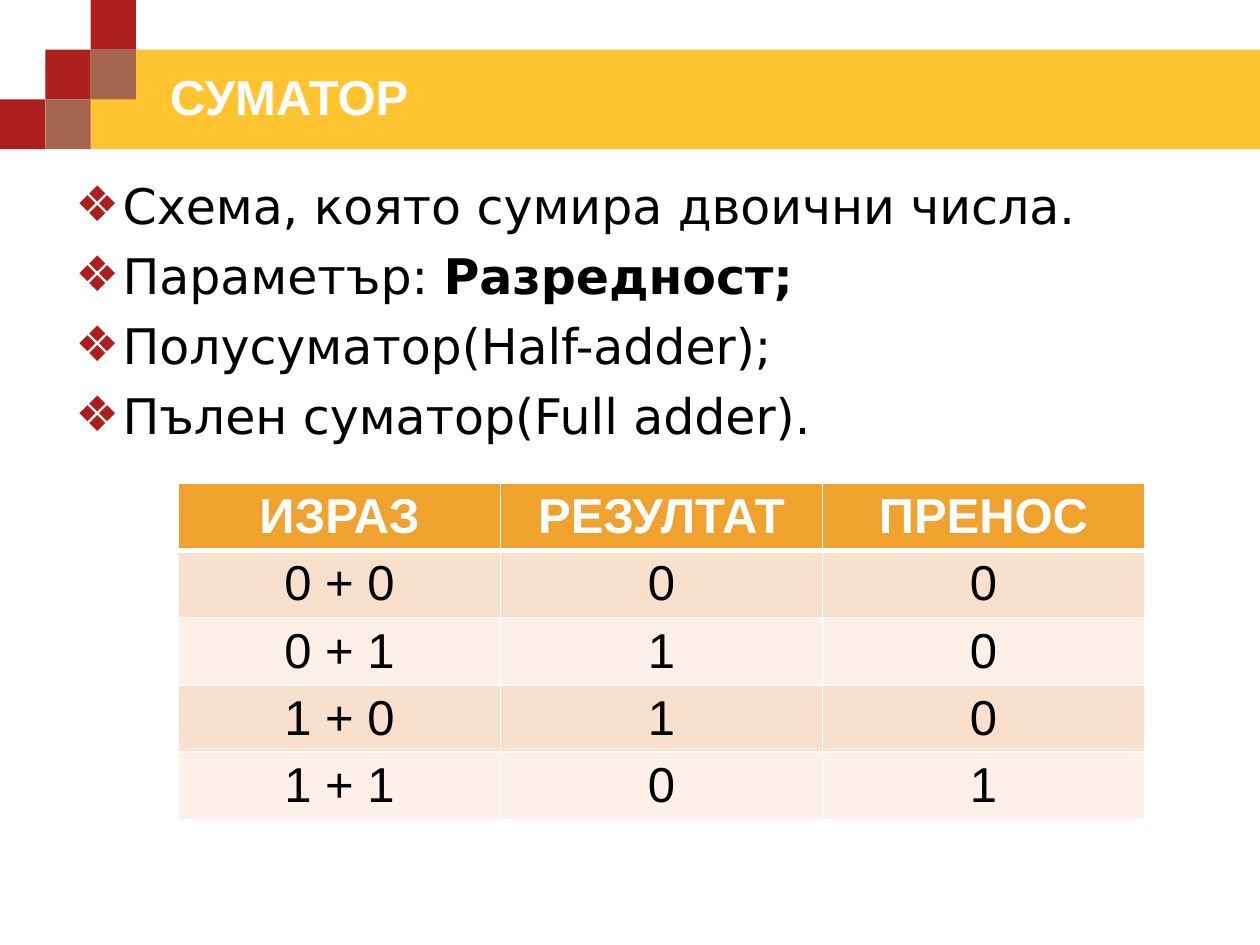
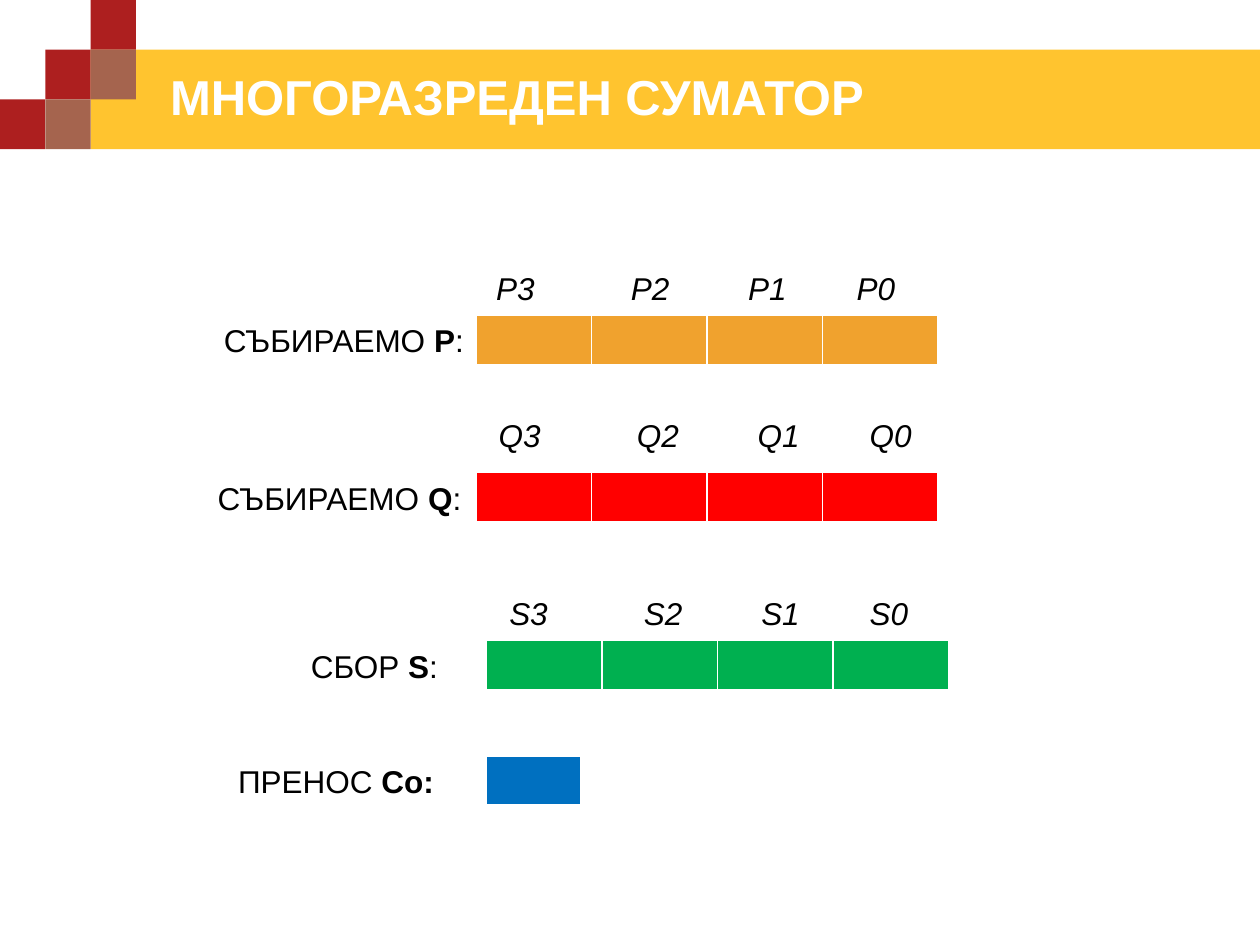
from itertools import accumulate

from lxml import etree
from pptx import Presentation
from pptx.dml.color import RGBColor
from pptx.enum import shapes, text
from pptx.oxml import ns
from pptx.util import Pt

WHITE, BLACK = "FFFFFF", "000000"
GOLD, CRIMSON, BROWN = "FFC42F", "AD1F1F", "A5644E"
ORANGE, PEACH, CREAM = "F0A22E", "F9E0CD", "FCF0E8"
RED, GREEN, BLUE = "FF0000", "00B050", "0070C0"
CENTER, LEFT = text.PP_ALIGN.CENTER, text.PP_ALIGN.LEFT


def color(hex_code):
    return RGBColor.from_string(hex_code)


def child(parent, tag, **attributes):
    return etree.SubElement(parent, ns.qn(tag), attributes)


def write(paragraph, content, size=18, font="Arial", ink=BLACK, bold=False,
          italic=False, align=LEFT):
    """Fill a paragraph; parts between ** marks switch to bold."""
    paragraph.alignment = align
    for index, part in enumerate(content.split("**")):
        if not part:
            continue
        run = paragraph.add_run()
        run.text = part
        run.font.size, run.font.name = Pt(size), font
        run.font.bold = bold or index % 2 == 1
        run.font.italic = italic
        run.font.color.rgb = color(ink)


def text_frame(slide, box, wrap=True):
    frame = slide.shapes.add_textbox(*map(Pt, box)).text_frame
    frame.word_wrap = wrap
    return frame


# Shared header
def decorate(layout, slide):
    """Build the band and the stepped squares, then move them to the layout."""
    step_x, step_y = 25.9, 28.4
    blocks = [(2, 1, 720 - 2 * step_x, 2 * step_y, GOLD)]
    blocks += [(col, 2 - col, step_x, step_y, CRIMSON) for col in range(3)]
    blocks += [(col, 3 - col, step_x, step_y, BROWN) for col in (2, 1)]
    for position, (col, row, width, height, fill) in enumerate(blocks):
        block = slide.shapes.add_shape(
            shapes.MSO_SHAPE.RECTANGLE, Pt(col * step_x), Pt(row * step_y),
            Pt(width), Pt(height))
        block.shadow.inherit = False
        block.fill.solid()
        block.fill.fore_color.rgb = color(fill)
        block.line.fill.background()
        layout.shapes.element.insert(2 + position, block.element)


def set_title(slide, content):
    title = slide.shapes.title
    title.left, title.top, title.width, title.height = map(Pt, (90, 36, 582, 38))
    title.text_frame.vertical_anchor = text.MSO_ANCHOR.MIDDLE
    write(title.text_frame.paragraphs[0], content, size=28, ink=WHITE, bold=True)


# Tables
def style_cell(cell, fill, bottom=1):
    cell.fill.solid()
    cell.fill.fore_color.rgb = color(fill)
    properties = cell._tc.get_or_add_tcPr()
    for index, (side, width) in enumerate(zip("LRTB", (1, 1, 1, bottom))):
        border = child(properties, f"a:ln{side}", w=str(Pt(width)))
        child(child(border, "a:solidFill"), "a:srgbClr", val=WHITE)
        properties.insert(index, border)


def plain_table(slide, box, rows, columns):
    table = slide.shapes.add_table(rows, columns, *map(Pt, box)).table
    table.first_row = table.horz_banding = False
    for column in table.columns:
        column.width = Pt(box[2] / columns)
    for row in table.rows:
        row.height = Pt(box[3] / rows)
    return table


def truth_table(slide, box, rows):
    table = plain_table(slide, box, len(rows), len(rows[0]))
    for r, row in enumerate(rows):
        header = r == 0
        fill = ORANGE if header else (CREAM, PEACH)[r % 2]
        for c, value in enumerate(row):
            cell = table.cell(r, c)
            style_cell(cell, fill, bottom=3 if header else 1)
            write(cell.text_frame.paragraphs[0], value, size=28, bold=header,
                  ink=WHITE if header else BLACK, align=CENTER)


def register(slide, box, bits, fill):
    table = plain_table(slide, box, 1, bits)
    for cell in table.iter_cells():
        style_cell(cell, fill, bottom=3)


# Text regions
def bullet_list(slide, box, items):
    frame = text_frame(slide, box)
    for index, item in enumerate(items):
        paragraph = frame.paragraphs[0] if index == 0 else frame.add_paragraph()
        paragraph.space_before = Pt(6.5)
        write(paragraph, item, size=28, font="DejaVu Sans")
        properties = paragraph._p.get_or_add_pPr()
        properties.set("marL", str(Pt(27)))
        properties.set("indent", str(Pt(-27)))
        child(child(properties, "a:buClr"), "a:srgbClr", val=CRIMSON)
        child(properties, "a:buFont", typeface="DejaVu Sans")
        child(properties, "a:buChar", char="❖")


def bit_names(slide, box, letter, name_width):
    """Write the names from bit 3 down to bit 0 at narrowing tab stops."""
    frame = text_frame(slide, box)
    frame.margin_left = 0
    paragraph = frame.paragraphs[0]
    write(paragraph, "\t".join(f"{letter}{bit}" for bit in (3, 2, 1, 0)), italic=True)
    stops = child(paragraph._p.get_or_add_pPr(), "a:tabLst")
    for stop in accumulate(name_width + gap for gap in (55, 45, 40)):
        child(stops, "a:tab", pos=str(Pt(stop)), algn="l")


def row_label(slide, box, content):
    write(text_frame(slide, box, wrap=False).paragraphs[0], content, align=CENTER)


# Slides
def adder_slide(slide):
    set_title(slide, "СУМАТОР")
    truth_table(slide, (102, 276, 552, 192), [
        ("ИЗРАЗ", "РЕЗУЛТАТ", "ПРЕНОС"),
        ("0 + 0", "0", "0"),
        ("0 + 1", "1", "0"),
        ("1 + 0", "1", "0"),
        ("1 + 1", "0", "1"),
    ])
    bullet_list(slide, (36, 96.5, 648, 413), [
        "Схема, която сумира двоични числа.",
        "Параметър: **Разредност;**",
        "Полусуматор(Half-adder);",
        "Пълен суматор(Full adder).",
    ])


def multibit_slide(slide):
    set_title(slide, "МНОГОРАЗРЕДЕН СУМАТОР")
    # label, label left and width, register left, top, fill, letter,
    # names left, names top, name width
    operands = [
        ("СЪБИРАЕМО **P**:", 120, 153, 272, 180, ORANGE, "P", 283.5, 150, 22),
        ("СЪБИРАЕМО **Q**:", 116, 156, 272, 270, RED, "Q", 285, 234, 24),
        ("СБОР **S**:", 170, 88, 278, 366, GREEN, "S", 291, 336, 22),
    ]
    for (label, label_left, label_width, left, top, fill, letter,
         names_left, names_top, name_width) in operands:
        register(slide, (left, top, 264, 29), 4, fill)
        row_label(slide, (label_left, top, label_width, 29), label)
        bit_names(slide, (names_left, names_top, 250, 29), letter, name_width)
    row_label(slide, (128, 432, 128, 29), "ПРЕНОС **Co:**")
    register(slide, (278, 432, 54, 29), 1, BLUE)


def main():
    deck = Presentation()
    deck.slide_width, deck.slide_height = Pt(720), Pt(540)
    layout = deck.slide_layouts[5]
    adder, multibit = (deck.slides.add_slide(layout) for _ in range(2))
    decorate(layout, adder)
    adder_slide(adder)
    multibit_slide(multibit)
    deck.save("out.pptx")


if __name__ == "__main__":
    main()
